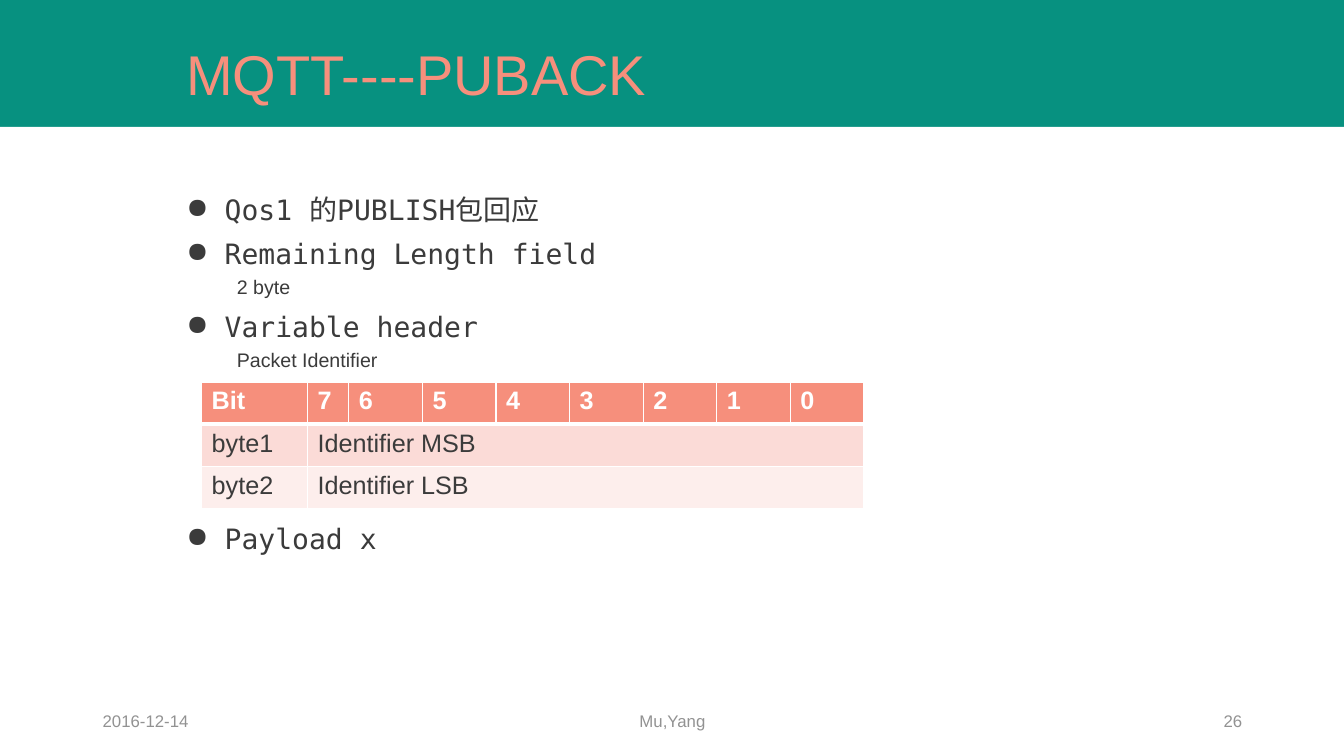
from lxml.etree import SubElement
from pptx import Presentation
from pptx.dml.color import RGBColor
from pptx.enum.shapes import MSO_SHAPE
from pptx.enum.text import MSO_ANCHOR, PP_ALIGN
from pptx.oxml.ns import qn
from pptx.util import Inches, Pt

# Content
TITLE = "MQTT----PUBACK"
# (level, text, space before in points); the last gap leaves room for the table
BODY = [
    (0, "Qos1 的PUBLISH包回应", 10),
    (0, "Remaining Length field", 10),
    (1, "2 byte", 5),
    (0, "Variable header", 10),
    (1, "Packet Identifier", 5),
    (0, "Payload x", 110),
]
BITS = ["Bit"] + [str(bit) for bit in range(7, -1, -1)]
BYTES = [("byte1", "Identifier MSB"), ("byte2", "Identifier LSB")]
FOOTER = [
    ("2016-12-14", 0.92, 3, PP_ALIGN.LEFT),
    ("Mu,Yang", 4.42, 4.5, PP_ALIGN.CENTER),
    ("26", 9.42, 3, PP_ALIGN.RIGHT),
]

# Style and layout, in inches
COLORS = {"band": "079180", "white": "FFFFFF", "coral": "F68F7C", "text": "3B3B3B",
          "footer": "929292", "byte1": "FBDBD7", "byte2": "FDEEEC"}
SANS, MONO = "Arial", "DejaVu Sans Mono"
WIDTH, HEIGHT = 13.33, 7.5
BAND_HEIGHT = 1.26
CONTENT_LEFT, CONTENT_WIDTH = 1.75, 9.62
COLUMNS = [1.05, 0.41] + [0.73] * 7
ROW_HEIGHT = 0.42
LEVELS = [  # left margin, first-line indent, bullet, size, font
    (0.38, -0.38, "●", 20, MONO),
    (0.5, 0, None, 14, SANS),
]


def color(name):
    return RGBColor.from_string(COLORS[name])


def add_run(paragraph, text, size, color_name, font=SANS, bold=False):
    run = paragraph.add_run()
    run.text = text
    run.font.size = Pt(size)
    run.font.name = font
    run.font.bold = bold
    run.font.color.rgb = color(color_name)


def add_text_frame(left, top, width, height, anchor=MSO_ANCHOR.MIDDLE):
    box = slide.shapes.add_textbox(*map(Inches, (left, top, width, height)))
    frame = box.text_frame
    frame.word_wrap = True
    frame.vertical_anchor = anchor
    return frame


def set_level(paragraph, level):
    margin, indent, bullet = LEVELS[level][:3]
    properties = paragraph._p.get_or_add_pPr()
    properties.set("marL", str(Inches(margin)))
    properties.set("indent", str(Inches(indent)))
    if bullet:
        SubElement(properties, qn("a:buChar")).set("char", bullet)
    else:
        SubElement(properties, qn("a:buNone"))


def style_cell(cell, fill, top, bottom):
    properties = cell._tc.get_or_add_tcPr()
    for side, points in (("L", 1), ("R", 1), ("T", top), ("B", bottom)):
        line = SubElement(properties, qn("a:ln" + side))
        line.set("w", str(Pt(points)))
        solid = SubElement(line, qn("a:solidFill"))
        SubElement(solid, qn("a:srgbClr")).set("val", COLORS["white"])
    cell.fill.solid()
    cell.fill.fore_color.rgb = color(fill)


presentation = Presentation()
presentation.slide_width = Inches(WIDTH)
presentation.slide_height = Inches(HEIGHT)
slide = presentation.slides.add_slide(presentation.slide_layouts[6])

# Green background with the white page below the title band
slide.background.fill.solid()
slide.background.fill.fore_color.rgb = color("band")
page = slide.shapes.add_shape(MSO_SHAPE.RECTANGLE, 0, Inches(BAND_HEIGHT),
                              Inches(WIDTH), Inches(HEIGHT - BAND_HEIGHT))
page.shadow.inherit = False
page.fill.solid()
page.fill.fore_color.rgb = color("white")
page.line.fill.background()

# Title
title = add_text_frame(CONTENT_LEFT, 0.18, CONTENT_WIDTH, 1.18).paragraphs[0]
title.line_spacing = 0.9
add_run(title, TITLE, 40, "coral")

# Body list
body = add_text_frame(CONTENT_LEFT, 1.9, CONTENT_WIDTH, 4.52, MSO_ANCHOR.TOP)
for index, (level, text, gap) in enumerate(BODY):
    paragraph = body.add_paragraph() if index else body.paragraphs[0]
    paragraph.line_spacing = 0.9
    paragraph.space_before = Pt(gap)
    set_level(paragraph, level)
    size, font = LEVELS[level][3:]
    add_run(paragraph, text, size, "text", font)

# Footer
for text, left, width, alignment in FOOTER:
    paragraph = add_text_frame(left, 6.95, width, 0.4).paragraphs[0]
    paragraph.alignment = alignment
    add_run(paragraph, text, 12, "footer")

# Packet identifier table
row_count = 1 + len(BYTES)
table = slide.shapes.add_table(row_count, len(COLUMNS), Inches(2), Inches(3.79),
                               Inches(sum(COLUMNS)), Inches(ROW_HEIGHT * row_count)).table
for column, width in zip(table.columns, COLUMNS):
    column.width = Inches(width)
for row in table.rows:
    row.height = Inches(ROW_HEIGHT)
for row_index, texts in enumerate([BITS, *BYTES]):
    header = row_index == 0
    fill = "coral" if header else texts[0]
    for cell in table.rows[row_index].cells:
        style_cell(cell, fill, 3 if row_index == 1 else 1, 3 if header else 1)
    if not header:
        table.cell(row_index, 1).merge(table.cell(row_index, len(COLUMNS) - 1))
    for column_index, text in enumerate(texts):
        paragraph = table.cell(row_index, column_index).text_frame.paragraphs[0]
        add_run(paragraph, text, 18, "white" if header else "text", bold=header)

presentation.save("out.pptx")
